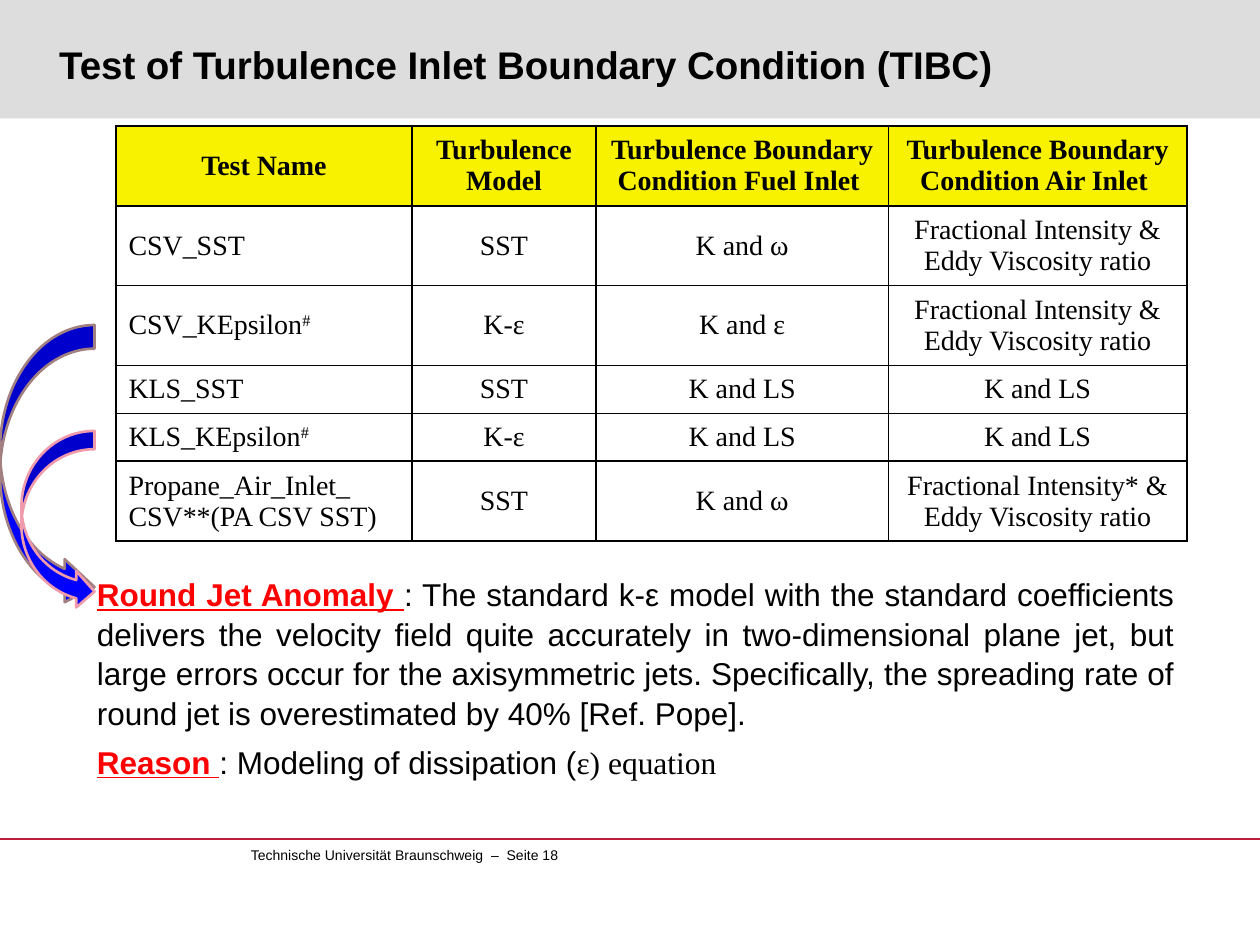
from dataclasses import dataclass

from lxml.etree import SubElement
from pptx import Presentation
from pptx.dml.color import RGBColor
from pptx.enum.shapes import MSO_CONNECTOR, MSO_SHAPE
from pptx.enum.text import MSO_ANCHOR, PP_ALIGN
from pptx.oxml.ns import qn
from pptx.util import Inches, Pt


@dataclass(frozen=True)
class Theme:
    sans: str = "Arial"
    serif: str = "Times New Roman"
    ink: str = "000000"
    band: str = "DDDDDD"
    rule: str = "BE1E3C"
    header: str = "F8F200"
    term: str = "FF0000"
    arrow: str = "0000FF"
    arrow_outer: str = "A27F81"
    arrow_inner: str = "EF9BAB"
    title_size: int = 22
    body_size: int = 18
    table_size: int = 16
    footer_size: int = 8


def rgb(value):
    return RGBColor.from_string(value)


class SlideBuilder:
    def __init__(self, slide, theme):
        self.s, self.t = slide, theme

    def style(self, font, size, name=None, bold=False):
        font.size, font.name, font.bold = Pt(size), name or self.t.sans, bold
        font.color.rgb = rgb(self.t.ink)

    def shape(self, kind, box, fill, line=None, adjustments=()):
        sp = self.s.shapes.add_shape(kind, *map(Inches, box))
        sp.shadow.inherit = False
        sp.fill.solid()
        sp.fill.fore_color.rgb = rgb(fill)
        if line:
            sp.line.color.rgb, sp.line.width = rgb(line), Pt(1.5)
        else:
            sp.line.fill.background()
        for i, value in enumerate(adjustments):
            sp.adjustments[i] = value

    def rule(self, y):
        line = self.s.shapes.add_connector(
            MSO_CONNECTOR.STRAIGHT, 0, Inches(y), Inches(10), Inches(y))
        line.line.color.rgb, line.line.width = rgb(self.t.rule), Pt(0.75)
        SubElement(line._element.spPr, qn("a:effectLst"))

    def text_frame(self, box, inset=True, wrap=True):
        tf = self.s.shapes.add_textbox(*map(Inches, box)).text_frame
        tf.word_wrap = wrap
        if not inset:
            tf.margin_left = tf.margin_right = tf.margin_top = tf.margin_bottom = 0
        return tf

    def label(self, box, text, size, bold=False, wrap=True):
        tf = self.text_frame(box, inset=False, wrap=wrap)
        tf.vertical_anchor = MSO_ANCHOR.MIDDLE if wrap else MSO_ANCHOR.TOP
        p = tf.paragraphs[0]
        p.text = text
        self.style(p.font, size, bold=bold)

    def note(self, box, term, parts, align=PP_ALIGN.LEFT):
        """A red underlined term, then (text, font) parts."""
        p = self.text_frame(box).paragraphs[0]
        p.alignment, p.line_spacing = align, 1.05
        r = p.add_run()
        r.text = term
        self.style(r.font, self.t.body_size, bold=True)
        r.font.underline = True
        r.font.color.rgb = rgb(self.t.term)
        for text, font in parts:
            r = p.add_run()
            r.text = text
            self.style(r.font, self.t.body_size, font)

    def borders(self, cell):
        tc_pr = cell._tc.get_or_add_tcPr()
        for side in ("a:lnL", "a:lnR", "a:lnT", "a:lnB"):
            ln = SubElement(tc_pr, qn(side), w=str(Pt(1)))
            fill = SubElement(ln, qn("a:solidFill"))
            SubElement(fill, qn("a:srgbClr"), val=self.t.ink)

    def cell(self, cell, text, header, align):
        self.borders(cell)
        cell.vertical_anchor = MSO_ANCHOR.MIDDLE
        if header:
            cell.fill.solid()
            cell.fill.fore_color.rgb = rgb(self.t.header)
        else:
            cell.fill.background()
        name, mark, _ = text.partition("#")
        cell.text = name
        for p in cell.text_frame.paragraphs:
            p.alignment = align
            self.style(p.font, self.t.table_size, self.t.serif, header)
        if mark:
            r = p.add_run()
            r.text = mark
            r._r.get_or_add_rPr().set("baseline", "30000")

    def table(self, left, top, widths, heights, rows):
        frame = self.s.shapes.add_table(
            len(rows), len(widths), Inches(left), Inches(top),
            Inches(sum(widths)), Inches(sum(heights)))
        table = frame.table
        for column, width in zip(table.columns, widths):
            column.width = Inches(width)
        for i, (height, texts) in enumerate(zip(heights, rows)):
            table.rows[i].height = Inches(height)
            for j, text in enumerate(texts):
                left_aligned = i > 0 and j == 0
                self.cell(table.cell(i, j), text, i == 0,
                          PP_ALIGN.LEFT if left_aligned else PP_ALIGN.CENTER)


RATIO = "Fractional Intensity & Eddy Viscosity ratio"
TESTS = [
    ("Test Name", "Turbulence Model", "Turbulence Boundary Condition Fuel Inlet ",
     "Turbulence Boundary Condition Air Inlet "),
    ("CSV_SST", "SST", "K and ω", RATIO),
    ("CSV_KEpsilon#", "K-ε", "K and ε", RATIO),
    ("KLS_SST", "SST", "K and LS", "K and LS"),
    ("KLS_KEpsilon#", "K-ε", "K and LS", "K and LS"),
    ("Propane_Air_Inlet_\nCSV**(PA CSV SST)", "SST", "K and ω",
     "Fractional Intensity* & Eddy Viscosity ratio"),
]
ANOMALY = (
    ": The standard k-ε model with the standard coefficients delivers the "
    "velocity field quite accurately in two-dimensional plane jet, but large "
    "errors occur for the axisymmetric jets. Specifically, the spreading rate "
    "of round jet is overestimated by 40% [Ref. Pope]. ")


def main():
    prs = Presentation()
    prs.slide_width, prs.slide_height = Inches(10), Inches(7.5)
    t = Theme()
    b = SlideBuilder(prs.slides.add_slide(prs.slide_layouts[6]), t)

    # Title band and footer
    b.shape(MSO_SHAPE.RECTANGLE, (0, 0, 10, 0.94), t.band)
    b.rule(6.66)
    b.label((1.99, 6.72, 2.58, 0.27),
            "Technische Universität Braunschweig  –  Seite 18",
            t.footer_size, wrap=False)
    b.label((0.47, 0.12, 9.16, 0.77),
            "Test of Turbulence Inlet Boundary Condition (TIBC)",
            t.title_size, bold=True)

    # Test matrix
    b.table(0.92, 1, (2.35, 1.46, 2.32, 2.37),
            (0.53, 0.52, 0.52, 0.38, 0.38, 0.6), TESTS)

    # Explanation
    b.note((0.67, 4.5, 8.75, 1.31), "Round Jet Anomaly ",
           [(ANOMALY, t.sans)], PP_ALIGN.JUSTIFY)
    b.note((0.67, 5.83, 8.75, 0.4), "Reason ",
           [(": Modeling of dissipation (", t.sans), ("ε) equation", t.serif)])

    # Arrows from the K-ε tests to the explanation
    b.shape(MSO_SHAPE.CURVED_RIGHT_ARROW, (0, 2.58, 0.75, 2.25), t.arrow,
            t.arrow_outer, (0.25, 0.455, 0.316))
    b.shape(MSO_SHAPE.CURVED_RIGHT_ARROW, (0.17, 3.42, 0.58, 1.42), t.arrow,
            t.arrow_inner)

    prs.save("out.pptx")


if __name__ == "__main__":
    main()
